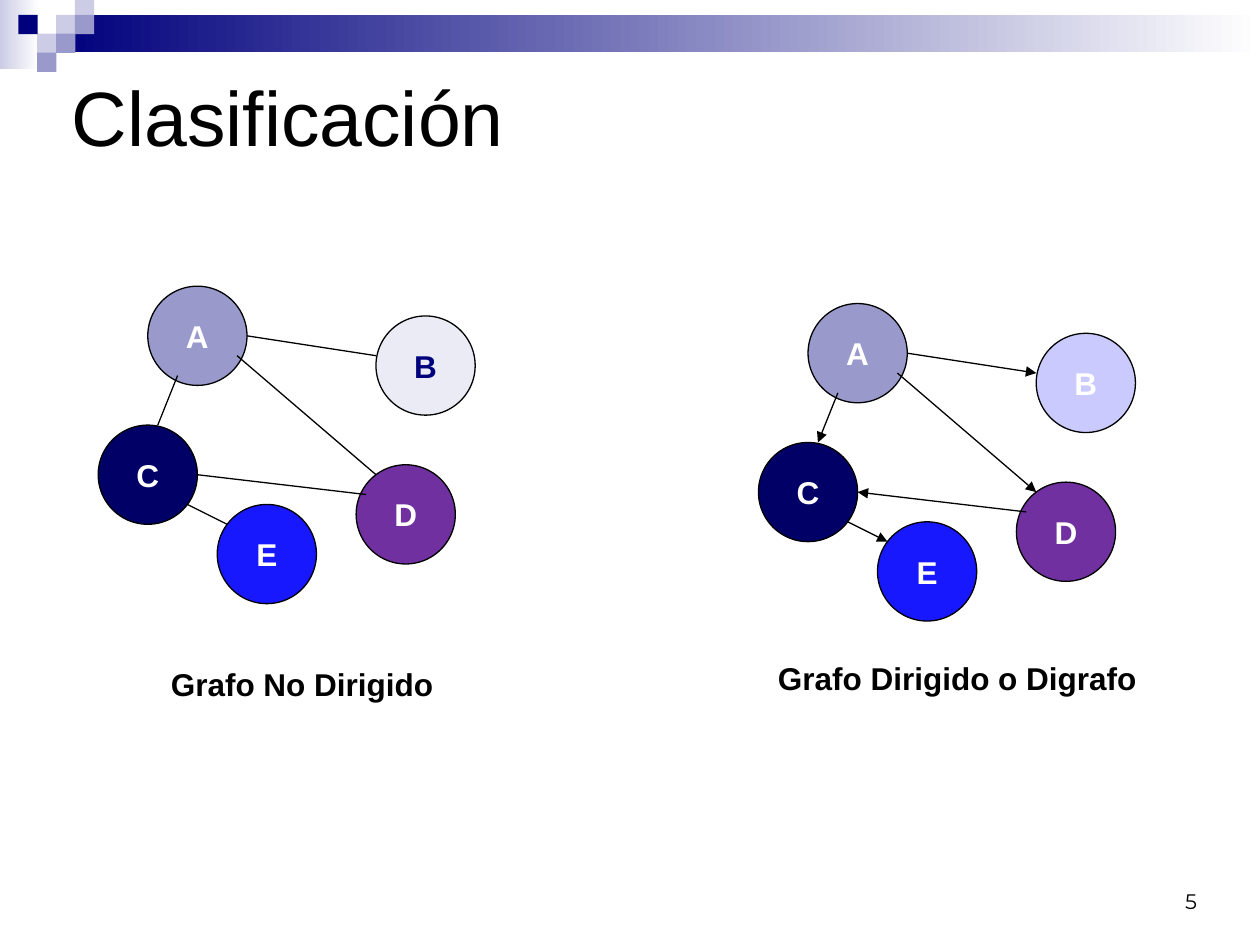
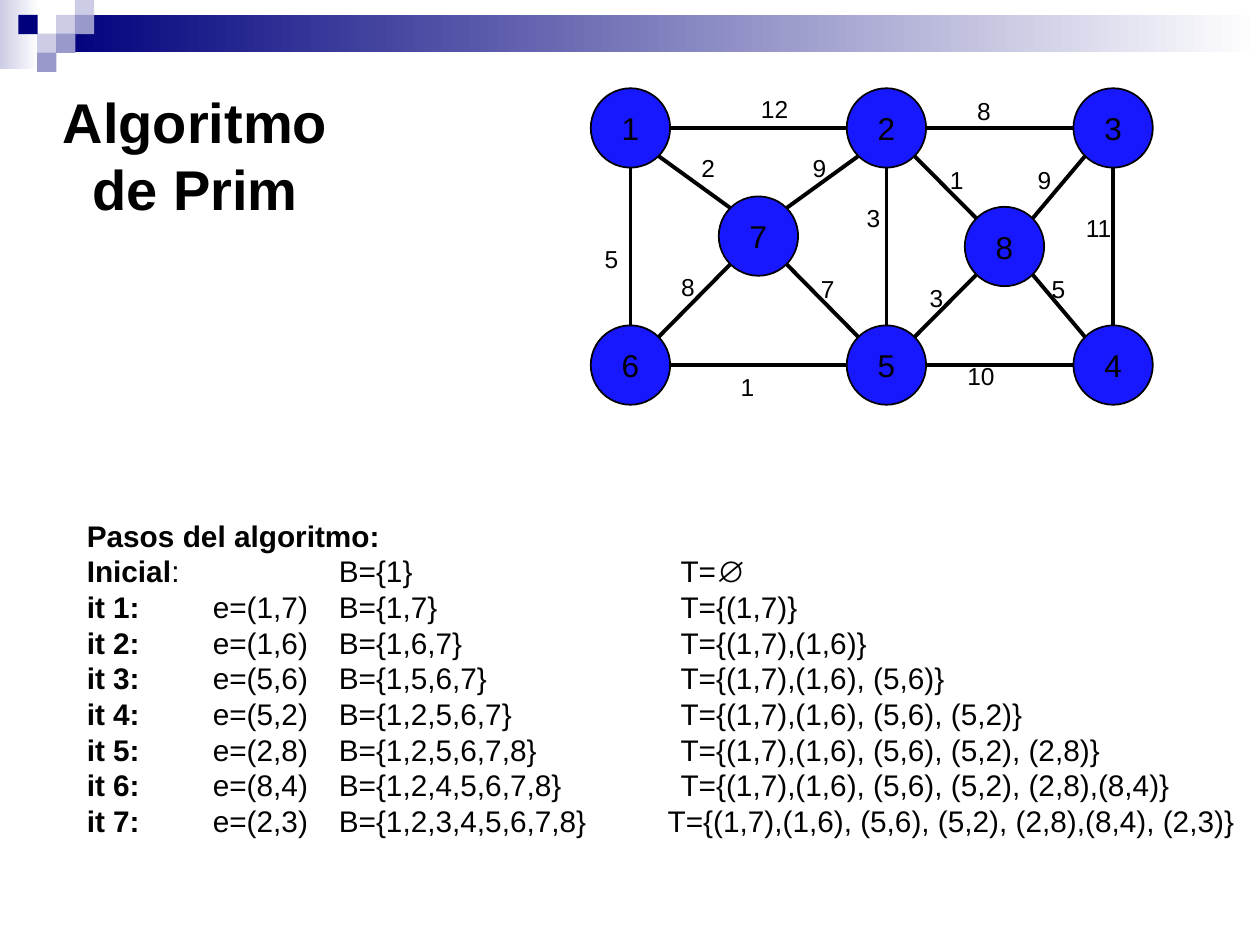
import math

import lxml.etree
import pptx
import pptx.dml.color
import pptx.enum.shapes
import pptx.enum.text
import pptx.oxml.ns
import pptx.util

Cm = pptx.util.Cm
Pt = pptx.util.Pt
RGB = pptx.dml.color.RGBColor
MSO_SHAPE = pptx.enum.shapes.MSO_SHAPE
ALIGN = pptx.enum.text.PP_ALIGN
ANCHOR = pptx.enum.text.MSO_ANCHOR
qn = pptx.oxml.ns.qn

BLACK = RGB(0x00, 0x00, 0x00)
WHITE = RGB(0xFF, 0xFF, 0xFF)
NAVY = RGB(0x00, 0x00, 0x7D)
DARK_NAVY = RGB(0x00, 0x00, 0x66)
LAVENDER = RGB(0x99, 0x99, 0xCC)
PALE = RGB(0xCC, 0xCC, 0xE6)
MIST = RGB(0xEB, 0xEB, 0xF5)
LILAC = RGB(0xCA, 0xCA, 0xFF)
PURPLE = RGB(0x70, 0x30, 0xA0)
BLUE = RGB(0x18, 0x18, 0xFF)
INK = RGB(0x04, 0x02, 0x00)

SQUARE = 0.38
SQUARES = [(1, 2, PALE), (0, 3, PALE), (1, 3, LAVENDER), (2, 1, PALE),
           (1, 0, NAVY), (2, 2, LAVENDER), (3, 1, LAVENDER)]

LETTER_SIZE = 2
LETTERS = {"A": (1, 0, LAVENDER), "B": (5.6, 0.6, MIST), "D": (5.2, 3.6, PURPLE),
           "C": (0, 2.8, DARK_NAVY), "E": (2.4, 4.4, BLUE)}
LETTER_EDGES = [(3, 1, 5.6, 1.4), (2.8, 1.4, 5.6, 3.8), (1.6, 1.8, 1.2, 2.8),
                (1.8, 4.4, 2.6, 4.8), (5.4, 4.2, 2, 3.8)]

NUMBER_SIZE = 1.6
NUMBERS = {1: (0, 0), 7: (2.58, 2.18), 2: (5.16, 0), 6: (0, 4.78),
           4: (9.73, 4.78), 3: (9.73, 0), 5: (5.16, 4.78), 8: (7.54, 2.39)}
WEIGHTED_EDGES = [
    (1, 7, 2, 1.98, 1.19), (1, 6, 5, 0.03, 3.02), (6, 7, 8, 1.57, 3.58),
    (6, 5, 1, 2.77, 5.59), (7, 2, 9, 4.22, 1.19), (1, 2, 12, 3.18, 0),
    (2, 5, 3, 5.31, 2.18), (7, 5, 7, 4.39, 3.61), (2, 3, 8, 7.54, 0.03),
    (3, 4, 11, 9.73, 2.39), (5, 4, 10, 7.34, 5.38), (2, 8, 1, 6.99, 1.42),
    (8, 3, 9, 8.76, 1.42), (8, 5, 3, 6.58, 3.81), (8, 4, 5, 9.04, 3.61)]

CHOSEN_EDGES = [(1, 7, ""), (1, 6, ","), (5, 6, ", "), (5, 2, ", "),
                (2, 8, ", "), (8, 4, ","), (2, 3, ", ")]
TABS = (2.54, 5.08, 11.97)
LAST_TABS = (2.54, 5.08, 11.71)


def write(p, text, size=18, bold=False, color=BLACK, font="Arial", align=ALIGN.LEFT, pitch=None):
    r = p.add_run()
    r.text = text
    r.font.size = Pt(size)
    r.font.bold = bold
    r.font.color.rgb = color
    r.font.name = font
    p.alignment = align
    if pitch:
        p.line_spacing = Pt(pitch)


def add_text(slide, text, x, y, w, h, wrap=True, anchor=ANCHOR.TOP, **fmt):
    tf = slide.shapes.add_textbox(Cm(x), Cm(y), Cm(w), Cm(h)).text_frame
    tf.word_wrap = wrap
    tf.vertical_anchor = anchor
    if text:
        write(tf.paragraphs[0], text, **fmt)
    return tf


def add_title(slide, text, x, y, w, h, **fmt):
    sp = slide.shapes.title
    sp.left, sp.top, sp.width, sp.height = Cm(x), Cm(y), Cm(w), Cm(h)
    tf = sp.text_frame
    tf.word_wrap = True
    tf.auto_size = pptx.enum.text.MSO_AUTO_SIZE.NONE
    tf.vertical_anchor = ANCHOR.MIDDLE
    write(tf.paragraphs[0], text, **fmt)


def add_block(shapes, x, y, w, h, color, fade=False):
    sp = shapes.add_shape(MSO_SHAPE.RECTANGLE, Cm(x), Cm(y), Cm(w), Cm(h))
    sp.shadow.inherit = False
    sp.line.fill.background()
    if fade:
        sp.fill.gradient()
        sp.fill.gradient_angle = 0
        for stop, rgb in zip(sp.fill.gradient_stops, (color, WHITE)):
            stop.color.rgb = rgb
    else:
        sp.fill.solid()
        sp.fill.fore_color.rgb = color


def add_band(prs, slide):
    group = slide.shapes.add_group_shape()
    add_block(group.shapes, 0, -0.08, 0.79, 1.47, PALE, fade=True)
    add_block(group.shapes, 1.14, 0.3, 24.26, 0.76, NAVY, fade=True)
    for row, col, color in SQUARES:
        add_block(group.shapes, 0.37 + col * SQUARE, -0.08 + row * SQUARE,
                  SQUARE + 0.01, SQUARE + 0.01, color)
    prs.slide_master.shapes._spTree.insert(2, group._element)


def add_node(slide, label, x, y, size, fill, line_width, **fmt):
    sp = slide.shapes.add_shape(MSO_SHAPE.OVAL, Cm(x), Cm(y), Cm(size), Cm(size))
    sp.shadow.inherit = False
    sp.fill.solid()
    sp.fill.fore_color.rgb = fill
    sp.line.color.rgb = BLACK
    sp.line.width = Pt(line_width)
    tf = sp.text_frame
    tf.word_wrap = False
    tf.vertical_anchor = ANCHOR.MIDDLE
    write(tf.paragraphs[0], label, align=ALIGN.CENTER, **fmt)


def add_edge(slide, x1, y1, x2, y2, width, arrow=False):
    cxn = slide.shapes.add_connector(
        pptx.enum.shapes.MSO_CONNECTOR.STRAIGHT, Cm(x1), Cm(y1), Cm(x2), Cm(y2))
    cxn.line.color.rgb = BLACK
    cxn.line.width = Pt(width)
    spPr = cxn._element.spPr
    if arrow:
        lxml.etree.SubElement(spPr.find(qn("a:ln")), qn("a:tailEnd"), type="triangle")
    lxml.etree.SubElement(spPr, qn("a:effectLst"))


def letter_graph(slide, x, y, directed=False):
    for label, (dx, dy, fill) in LETTERS.items():
        color = WHITE
        if label == "B":
            fill, color = (LILAC, WHITE) if directed else (MIST, NAVY)
        add_node(slide, label, x + dx, y + dy, LETTER_SIZE, fill, 0.75, bold=True, color=color)
    for x1, y1, x2, y2 in LETTER_EDGES:
        add_edge(slide, x + x1, y + y1, x + x2, y + y2, 0.75, directed)


def rim_points(a, b):
    (ax, ay), (bx, by) = NUMBERS[a], NUMBERS[b]
    sx = (bx > ax) - (bx < ax)
    sy = (by > ay) - (by < ay)
    radius = NUMBER_SIZE / 2
    reach = radius / math.hypot(sx, sy)
    return (ax + radius + sx * reach, ay + radius + sy * reach,
            bx + radius - sx * reach, by + radius - sy * reach)


def weighted_graph(slide, x, y):
    for number, (dx, dy) in NUMBERS.items():
        add_node(slide, str(number), x + dx, y + dy, NUMBER_SIZE, BLUE, 1)
    for a, b, weight, dx, dy in WEIGHTED_EDGES:
        x1, y1, x2, y2 = rim_points(a, b)
        add_edge(slide, x + x1, y + y1, x + x2, y + y2, 2.25)
        width = 1.07 if weight > 9 else 0.79
        add_text(slide, str(weight), x + dx, y + dy, width, 0.86, wrap=False, size=14)


def set_tabs(p, stops):
    tab_list = lxml.etree.SubElement(p._p.get_or_add_pPr(), qn("a:tabLst"))
    for stop in stops:
        lxml.etree.SubElement(tab_list, qn("a:tab"), pos=str(int(Cm(stop))), algn="l")


def prim_steps(slide, x, y, w, h):
    rows = [("Inicial", ":\t\tB={1}\tT=∅")]
    visited, tree = {1}, ""
    for i, (a, b, gap) in enumerate(CHOSEN_EDGES, 1):
        visited |= {a, b}
        tree += f"{gap}({a},{b})"
        nodes = ",".join(map(str, sorted(visited)))
        rows.append((f"it {i}:", f"\te=({a},{b})\tB={{{nodes}}}\tT={{{tree}}}"))

    fmt = dict(size=17, color=INK, pitch=20.4)
    tf = add_text(slide, "Pasos del algoritmo:", x, y, w, h, bold=True, **fmt)
    for name, values in rows:
        p = tf.add_paragraph()
        write(p, name, bold=True, **fmt)
        write(p, values, **fmt)
        set_tabs(p, LAST_TABS if name == rows[-1][0] else TABS)


def classification_slide(slide):
    add_title(slide, "Clasificación", 1.19, 0.79, 22.86, 3.1, size=44)
    letter_graph(slide, 1.98, 5.77)
    letter_graph(slide, 15.29, 6.12, directed=True)
    caption = dict(bold=True, align=ALIGN.CENTER)
    add_text(slide, "Grafo No Dirigido", 0.89, 13.28, 10.4, 1.02, **caption)
    add_text(slide, "Grafo Dirigido o Digrafo", 14.1, 13.16, 10.4, 1.02, **caption)
    add_text(slide, "5", 22.81, 17.65, 1.57, 0.89, anchor=ANCHOR.BOTTOM,
             size=12, font="Montserrat", align=ALIGN.RIGHT)


def prim_slide(slide):
    add_title(slide, "Algoritmo de Prim", 0.2, 1.57, 7.47, 3.1,
              size=32, bold=True, align=ALIGN.CENTER, pitch=38.4)
    prim_steps(slide, 1.5, 10.31, 23.9, 6.81)
    weighted_graph(slide, 11.91, 1.78)


def main():
    prs = pptx.Presentation()
    prs.slide_width, prs.slide_height = Cm(25.4), Cm(19.05)
    title_only = prs.slide_layouts[5]
    slides = [prs.slides.add_slide(title_only) for _ in range(2)]
    add_band(prs, slides[0])
    classification_slide(slides[0])
    prim_slide(slides[1])
    prs.save("out.pptx")


if __name__ == "__main__":
    main()
